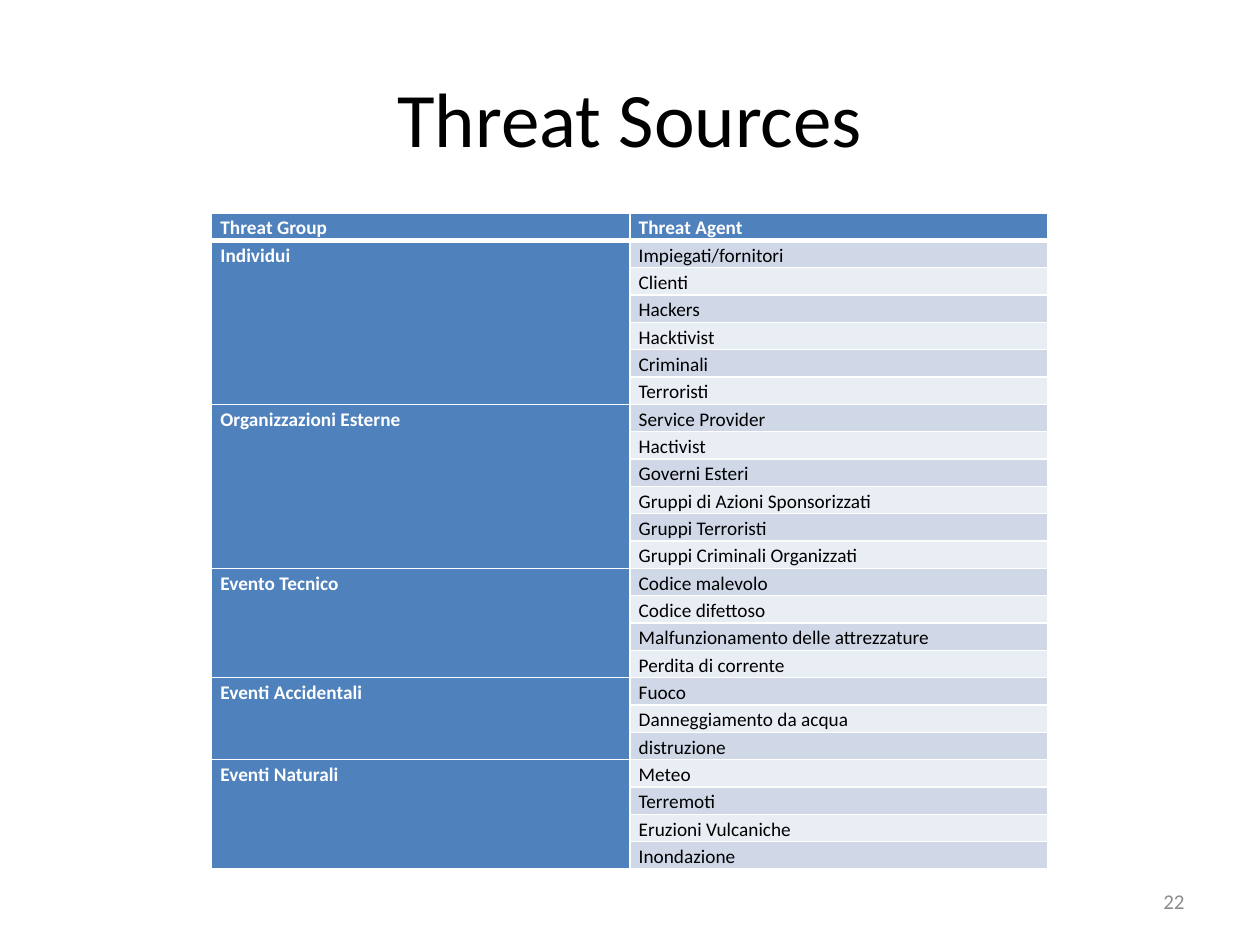
from dataclasses import dataclass

from lxml.etree import SubElement
from pptx import Presentation
from pptx.dml.color import RGBColor
from pptx.enum.text import MSO_ANCHOR as Anchor, PP_ALIGN as Align
from pptx.oxml.ns import qn
from pptx.slide import Slide
from pptx.table import Table, _Cell as Cell
from pptx.text.text import TextFrame
from pptx.util import Inches, Pt


@dataclass(frozen=True)
class Theme:
    font: str = "Calibri"
    title_size: int = 44
    cell_size: int = 11
    number_size: int = 12
    ink: str = "000000"
    paper: str = "FFFFFF"
    accent: str = "4F81BD"
    bands: tuple[str, str] = ("D0D8E8", "E9EDF4")
    muted: str = "8C8C8C"
    thin: int = 1
    thick: int = 3


@dataclass(frozen=True)
class ThreatGroup:
    name: str
    agents: tuple[str, ...]


THEME = Theme()
HEADINGS = ("Threat Group", "Threat Agent")
GROUPS = (
    ThreatGroup("Individui", (
        "Impiegati/fornitori", "Clienti", "Hackers", "Hacktivist", "Criminali", "Terroristi")),
    ThreatGroup("Organizzazioni Esterne", (
        "Service Provider", "Hactivist", "Governi Esteri", "Gruppi di Azioni Sponsorizzati",
        "Gruppi Terroristi", "Gruppi Criminali Organizzati")),
    ThreatGroup("Evento Tecnico", (
        "Codice malevolo", "Codice difettoso", "Malfunzionamento delle attrezzature",
        "Perdita di corrente")),
    ThreatGroup("Eventi Accidentali", ("Fuoco", "Danneggiamento da acqua", "distruzione")),
    ThreatGroup("Eventi Naturali", (
        "Meteo", "Terremoti", "Eruzioni Vulcaniche", "Inondazione")),
)


def write(frame: TextFrame, text: str, size: int, color: str, align: Align,
          bold: bool = False) -> None:
    frame.text = text
    paragraph = frame.paragraphs[0]
    paragraph.alignment = align
    for run in paragraph.runs:
        run.font.name = THEME.font
        run.font.size = Pt(size)
        run.font.bold = bold
        run.font.color.rgb = RGBColor.from_string(color)


def add_border(cell: Cell, side: str, width: int) -> None:
    line = SubElement(cell._tc.get_or_add_tcPr(), qn(f"a:ln{side}"), w=str(Pt(width)))
    fill = SubElement(line, qn("a:solidFill"))
    SubElement(fill, qn("a:srgbClr"), val=THEME.paper)


def style_cell(cell: Cell, text: str, fill: str, color: str, bold: bool,
               top: int, bottom: int) -> None:
    write(cell.text_frame, text, THEME.cell_size, color, Align.JUSTIFY, bold)
    cell.text_frame.paragraphs[0].line_spacing = 1.15
    cell.margin_left = cell.margin_right = Inches(0.07)
    cell.margin_top = cell.margin_bottom = 0
    for side, width in (("L", THEME.thin), ("R", THEME.thin), ("T", top), ("B", bottom)):
        add_border(cell, side, width)
    cell.fill.solid()
    cell.fill.fore_color.rgb = RGBColor.from_string(fill)


def fill_row(table: Table, row: int, group: str, agent: str) -> None:
    header = row == 0
    top = THEME.thick if row == 1 else THEME.thin
    bottom = THEME.thick if header else THEME.thin
    agent_fill = THEME.accent if header else THEME.bands[(row - 1) % 2]
    agent_color = THEME.paper if header else THEME.ink
    style_cell(table.cell(row, 0), group, THEME.accent, THEME.paper, True, top, bottom)
    style_cell(table.cell(row, 1), agent, agent_fill, agent_color, header, top, bottom)


def add_threat_table(slide: Slide) -> None:
    row_count = 1 + sum(len(group.agents) for group in GROUPS)
    table = slide.shapes.add_table(
        row_count, len(HEADINGS), Inches(1.68), Inches(1.69), Inches(6.64), Inches(4.95)).table
    fill_row(table, 0, *HEADINGS)
    first = 1
    for group in GROUPS:
        for offset, agent in enumerate(group.agents):
            fill_row(table, first + offset, "" if offset else group.name, agent)
        last = first + len(group.agents) - 1
        table.cell(first, 0).merge(table.cell(last, 0))
        first = last + 1


def add_title(slide: Slide) -> None:
    title = slide.shapes.title
    title.left, title.top = Inches(0.5), Inches(0.3)
    title.width, title.height = Inches(9), Inches(1.25)
    title.text_frame.vertical_anchor = Anchor.MIDDLE
    write(title.text_frame, "Threat Sources", THEME.title_size, THEME.ink, Align.CENTER)


def add_page_number(slide: Slide) -> None:
    page_number = slide.shapes.add_textbox(
        Inches(7.17), Inches(6.95), Inches(2.33), Inches(0.4)).text_frame
    page_number.word_wrap = True
    page_number.vertical_anchor = Anchor.MIDDLE
    write(page_number, "22", THEME.number_size, THEME.muted, Align.RIGHT)


def main() -> None:
    deck = Presentation()
    deck.slide_width, deck.slide_height = Inches(10), Inches(7.5)
    slide = deck.slides.add_slide(deck.slide_layouts.get_by_name("Title Only"))
    add_title(slide)
    add_threat_table(slide)
    add_page_number(slide)
    deck.save("out.pptx")


if __name__ == "__main__":
    main()
